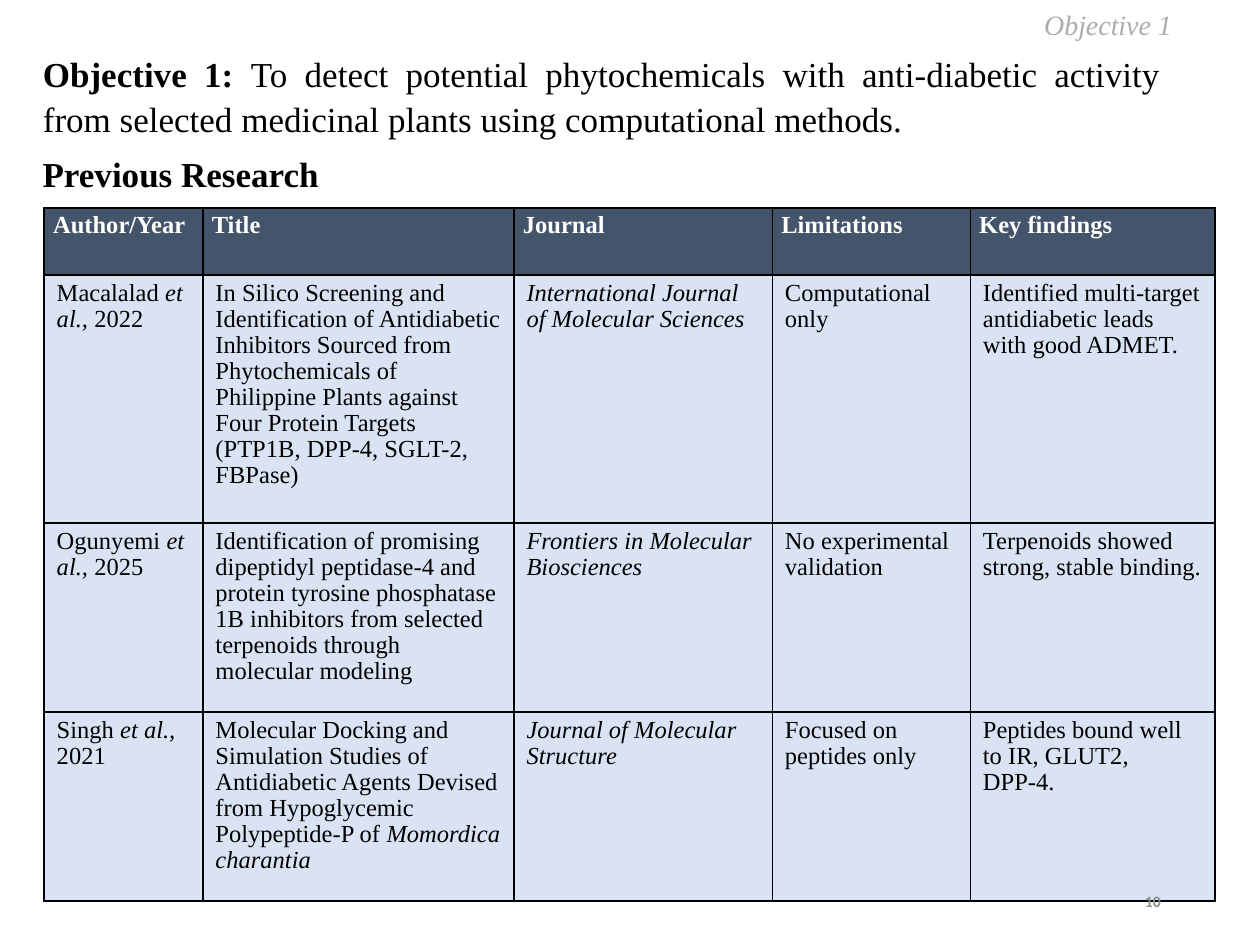
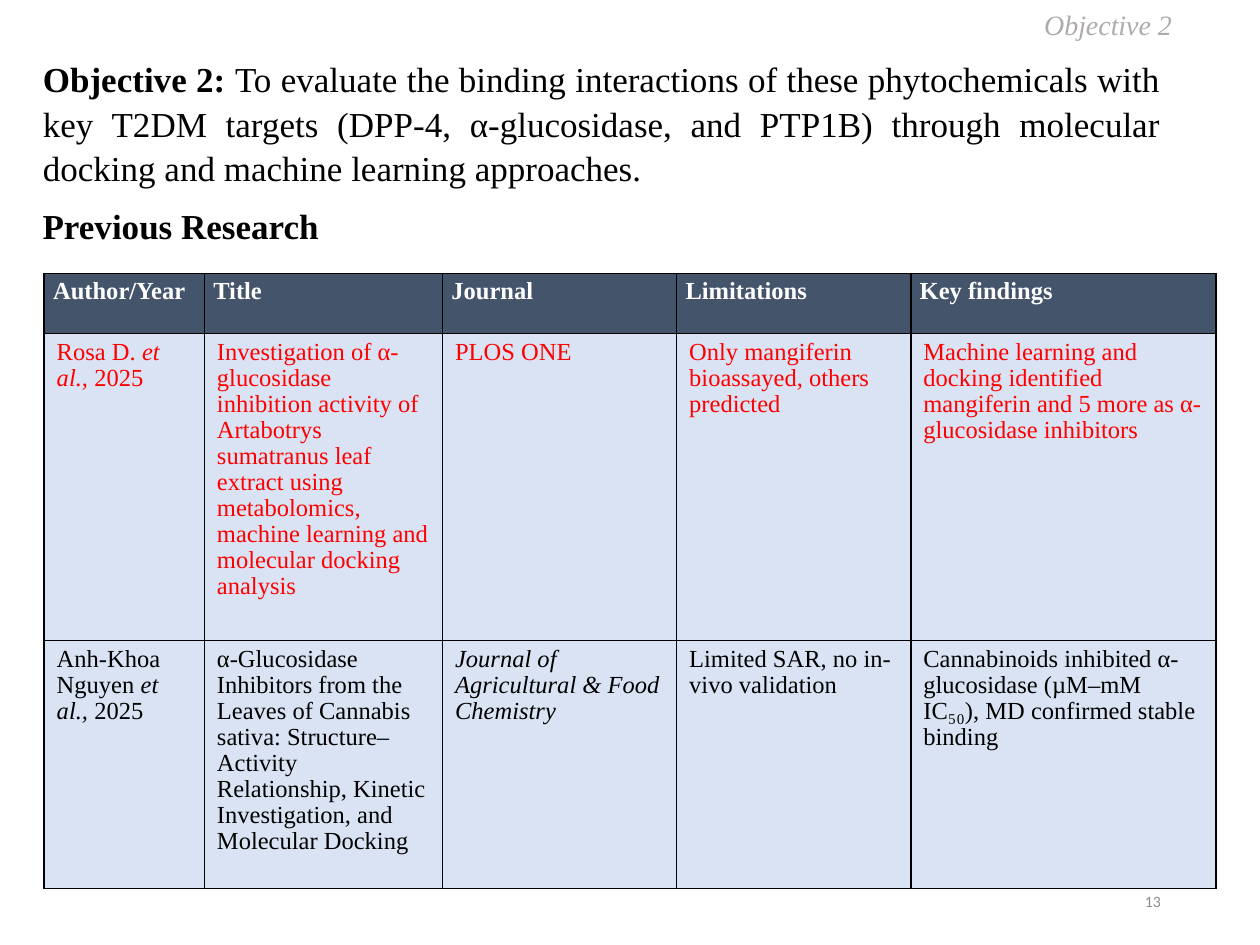
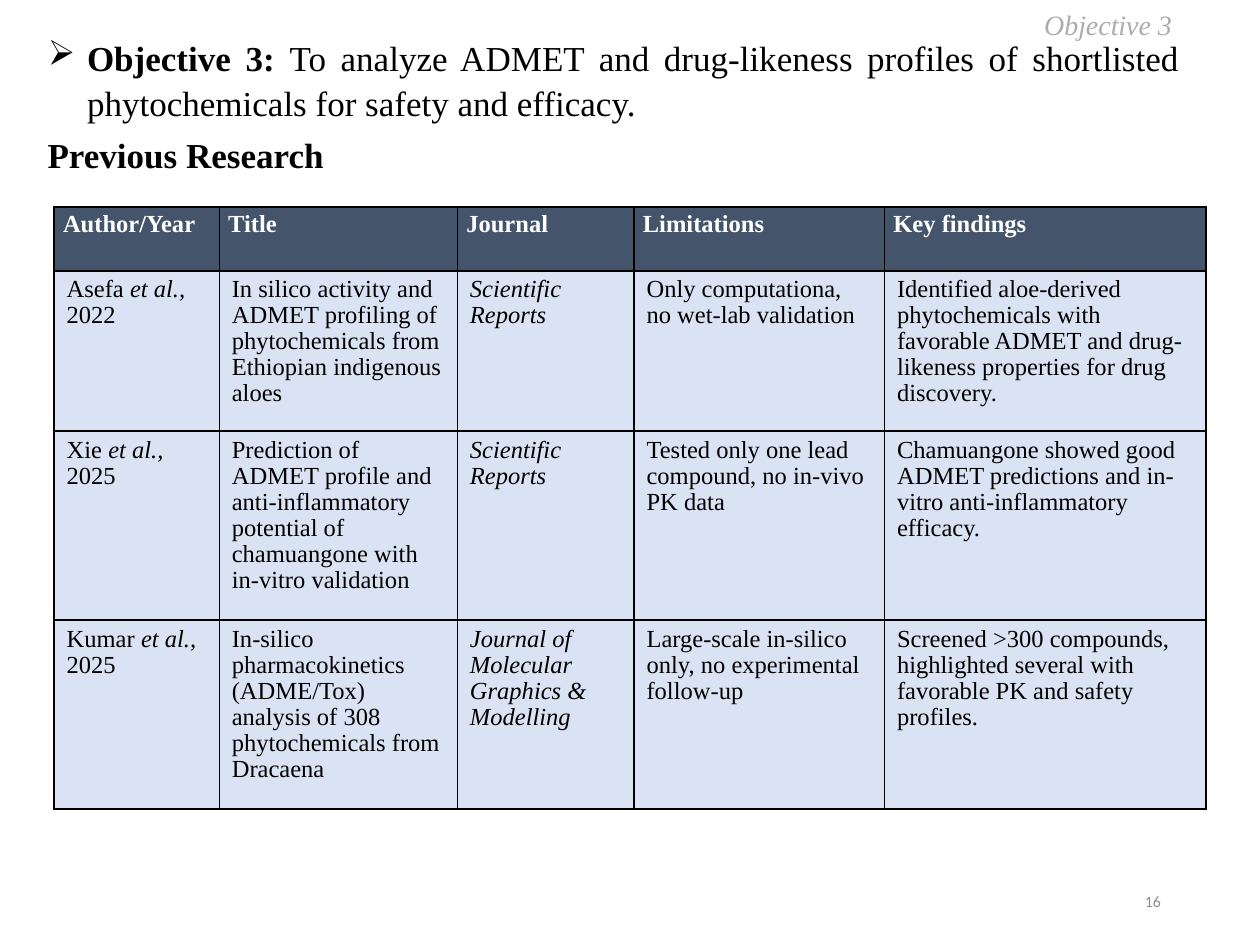
from lxml.etree import SubElement
from pptx import Presentation
from pptx.dml.color import RGBColor
from pptx.enum.text import MSO_ANCHOR, MSO_AUTO_SIZE, PP_ALIGN
from pptx.oxml.ns import qn
from pptx.util import Cm, Pt

# Colours
BLACK = RGBColor(0x00, 0x00, 0x00)
WHITE = RGBColor(0xFF, 0xFF, 0xFF)
RED = RGBColor(0xFF, 0x00, 0x00)
NAVY = RGBColor(0x44, 0x54, 0x6A)
PALE = RGBColor(0xDA, 0xE3, 0xF3)
SILVER = RGBColor(0xAF, 0xAB, 0xAB)
GREY = RGBColor(0x8C, 0x8C, 0x8C)

# Text formats
SERIF = "Times New Roman"
LEAD = dict(name=SERIF, size=Pt(20), bold=True, italic=False)
BODY = dict(LEAD, bold=False)
HEAD = dict(LEAD, size=Pt(14))
CELL = dict(HEAD, bold=False)
TAG = dict(BODY, size=Pt(16), italic=True)
PAGE = dict(name="Calibri", size=Pt(9))

LABELS = ["Author/Year", "Title", "Journal", "Limitations", "Key findings"]


class Deck:
    def __init__(self):
        self.prs = Presentation()
        self.prs.slide_width, self.prs.slide_height = Cm(25.4), Cm(19.05)
        self.slide = None

    def start(self):
        self.slide = self.prs.slides.add_slide(self.prs.slide_layouts[5])

    def add_text(self, para, text, form, color=BLACK):
        run = para.add_run()
        run.text = text
        for key, value in form.items():
            setattr(run.font, key, value)
        run.font.color.rgb = color

    def box(self, place, text, form, color=BLACK, wrap=False):
        shape = self.slide.shapes.add_textbox(*map(Cm, place))
        frame = shape.text_frame
        frame.word_wrap = wrap
        if not wrap:
            frame.auto_size = MSO_AUTO_SIZE.SHAPE_TO_FIT_TEXT
        self.add_text(frame.paragraphs[0], text, form, color)
        return frame

    def title(self, place, label, text, bullet):
        shape = self.slide.shapes.title
        shape.left, shape.top, shape.width, shape.height = map(Cm, place)
        frame = shape.text_frame
        frame.word_wrap = True
        frame.auto_size = MSO_AUTO_SIZE.NONE
        frame.vertical_anchor = MSO_ANCHOR.TOP
        para = frame.paragraphs[0]
        if bullet:
            props = para._p.get_or_add_pPr()
            props.set("marL", str(Cm(0.79)))
            props.set("indent", str(Cm(-0.79)))
            SubElement(props, qn("a:buChar"), char="➢")
        para.alignment = PP_ALIGN.JUSTIFY
        para.line_spacing = 1.06
        self.add_text(para, label + ": ", LEAD)
        self.add_text(para, text, BODY)

    def section(self, left, top, text):
        frame = self.box((left, top, 6.12, 1.12), text, LEAD)
        frame.paragraphs[0].line_spacing = 1.06

    def tag(self, text):
        self.box((20.8, 0.03, 3.12, 0.94), text, TAG, SILVER)

    def page(self, number, bold):
        frame = self.box((17.93, 17.65, 5.72, 1.02), str(number),
                         dict(PAGE, bold=bold), GREY, wrap=True)
        frame.vertical_anchor = MSO_ANCHOR.MIDDLE
        frame.paragraphs[0].alignment = PP_ALIGN.RIGHT

    def edge(self, cell):
        props = cell._tc.get_or_add_tcPr()
        for side in ("lnL", "lnR", "lnT", "lnB"):
            line = SubElement(props, qn("a:" + side), w=str(Pt(1)))
            fill = SubElement(line, qn("a:solidFill"))
            SubElement(fill, qn("a:srgbClr"), val=str(BLACK))

    def cell(self, cell, text, form, color, fill):
        self.edge(cell)
        cell.fill.solid()
        cell.fill.fore_color.rgb = fill
        para = cell.text_frame.paragraphs[0]
        para.line_spacing = 0.96
        # Text between asterisks is italic
        for i, part in enumerate(text.split("*")):
            if part:
                self.add_text(para, part, dict(form, italic=i % 2 == 1), color)

    def table(self, left, top, cols, rows, data, red):
        grid = self.slide.shapes.add_table(
            len(rows), len(cols), Cm(left), Cm(top),
            Cm(sum(cols)), Cm(sum(rows))).table
        for col, width in zip(grid.columns, cols):
            col.width = Cm(width)
        for row, height in zip(grid.rows, rows):
            row.height = Cm(height)
        for c, label in enumerate(LABELS):
            head = grid.cell(0, c)
            head.margin_left = head.margin_right = Cm(0.18)
            head.margin_top = head.margin_bottom = Cm(0.1)
            self.cell(head, label, HEAD, WHITE, NAVY)
        for r, texts in enumerate(data, 1):
            for c, text in enumerate(texts):
                color = RED if r == red else BLACK
                self.cell(grid.cell(r, c), text, CELL, color, PALE)


# Slide contents
GOALS = [
    dict(
        page=10, bold=True, bullet=False, red=None,
        title=(0.61, 0.89, 23.04, 2.82), section=(0.61, 2.9),
        text="To detect potential phytochemicals with anti-diabetic activity "
             "from selected medicinal plants using computational methods.",
        table=(0.89, 4.19), cols=[3.2, 6.27, 5.21, 3.99, 4.93],
        rows=[1.35, 5, 3.81, 3.81],
        data=[
            ["Macalalad *et al.,* 2022",
             "In Silico Screening and Identification of Antidiabetic "
             "Inhibitors Sourced from Phytochemicals of Philippine Plants "
             "against Four Protein Targets (PTP1B, DPP-4, SGLT-2, FBPase)",
             "*International Journal of Molecular Sciences*",
             "Computational only",
             "Identified multi-target antidiabetic leads with good ADMET."],
            ["Ogunyemi *et al.,* 2025",
             "Identification of promising dipeptidyl peptidase-4 and protein "
             "tyrosine phosphatase 1B inhibitors from selected terpenoids "
             "through molecular modeling",
             "*Frontiers in Molecular Biosciences*",
             "No experimental validation",
             "Terpenoids showed strong, stable binding."],
            ["Singh *et al., *2021",
             "Molecular Docking and Simulation Studies of Antidiabetic Agents "
             "Devised from Hypoglycemic Polypeptide-P of *Momordica charantia*",
             "*Journal of Molecular Structure*",
             "Focused on peptides only",
             "Peptides bound well to IR, GLUT2, DPP-4."],
        ]),
    dict(
        page=13, bold=False, bullet=False, red=1,
        title=(0.61, 0.99, 23.04, 3.68), section=(0.61, 3.94),
        text="To evaluate the binding interactions of these phytochemicals "
             "with key T2DM targets (DPP-4, α-glucosidase, and PTP1B) through "
             "molecular docking and machine learning approaches.",
        table=(0.89, 5.51), cols=[3.23, 4.8, 4.72, 4.72, 6.15],
        rows=[1.21, 6.19, 5],
        data=[
            ["Rosa D. *et al.,* 2025",
             "Investigation of α-glucosidase inhibition activity of "
             "Artabotrys sumatranus leaf extract using metabolomics, machine "
             "learning and molecular docking analysis",
             "PLOS ONE",
             "Only mangiferin bioassayed, others predicted",
             "Machine learning and docking identified mangiferin and 5 more "
             "as α-glucosidase inhibitors"],
            ["Anh-Khoa Nguyen *et al.,* 2025",
             "α-Glucosidase Inhibitors from the Leaves of Cannabis sativa: "
             "Structure–Activity Relationship, Kinetic Investigation, and "
             "Molecular Docking",
             "*Journal of Agricultural & Food Chemistry*",
             "Limited SAR, no in-vivo validation",
             "Cannabinoids inhibited α-glucosidase (µM–mM IC₅₀), MD confirmed "
             "stable binding"],
        ]),
    dict(
        page=16, bold=False, bullet=True, red=None,
        title=(0.71, 0.56, 23.32, 2.82), section=(0.71, 2.51),
        text="To analyze ADMET and drug-likeness profiles of shortlisted "
             "phytochemicals for safety and efficacy.",
        table=(1.09, 4.17), cols=[3.33, 4.8, 3.56, 5.05, 6.48],
        rows=[1.29, 3.23, 3.81, 3.81],
        data=[
            ["Asefa *et al.,* 2022",
             "In silico activity and ADMET profiling of phytochemicals from "
             "Ethiopian indigenous aloes",
             "*Scientific Reports*",
             "Only computationa, no wet-lab validation",
             "Identified aloe-derived phytochemicals with favorable ADMET and "
             "drug-likeness properties for drug discovery."],
            ["Xie *et al.,* 2025",
             "Prediction of ADMET profile and anti-inflammatory potential of "
             "chamuangone with in-vitro validation",
             "*Scientific Reports*",
             "Tested only one lead compound, no in-vivo PK data",
             "Chamuangone showed good ADMET predictions and in-vitro "
             "anti-inflammatory efficacy."],
            ["Kumar *et al.,* 2025",
             "In-silico pharmacokinetics (ADME/Tox) analysis of 308 "
             "phytochemicals from Dracaena",
             "*Journal of Molecular Graphics & Modelling*",
             "Large-scale in-silico only, no experimental follow-up",
             "Screened >300 compounds, highlighted several with favorable PK "
             "and safety profiles."],
        ]),
]


def main():
    deck = Deck()
    for number, goal in enumerate(GOALS, 1):
        label = f"Objective {number}"
        deck.start()
        deck.title(goal["title"], label, goal["text"], goal["bullet"])
        deck.section(*goal["section"], "Previous Research")
        deck.table(*goal["table"], goal["cols"], goal["rows"],
                   goal["data"], goal["red"])
        deck.page(goal["page"], goal["bold"])
        deck.tag(label)
    deck.prs.save("out.pptx")


if __name__ == "__main__":
    main()
